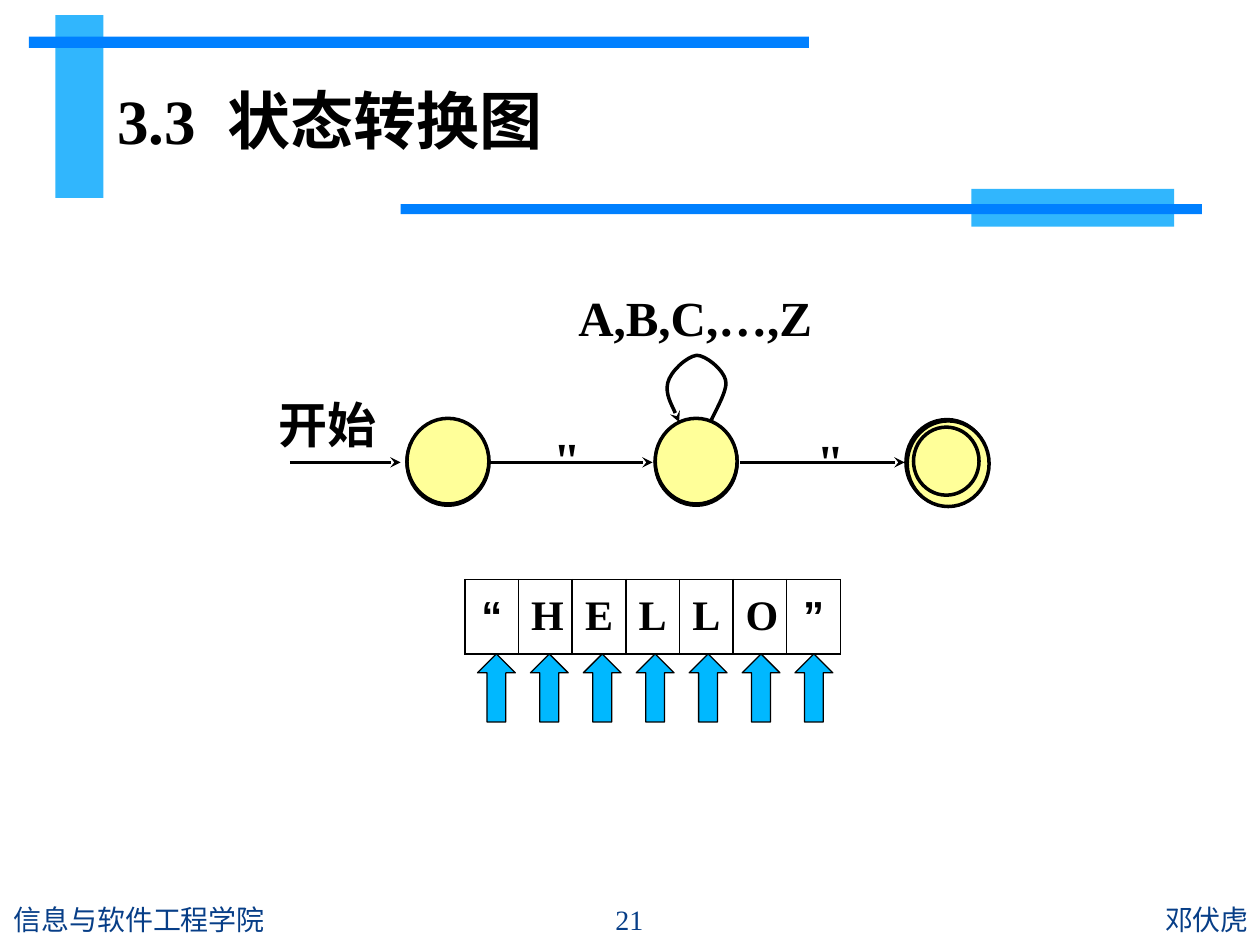
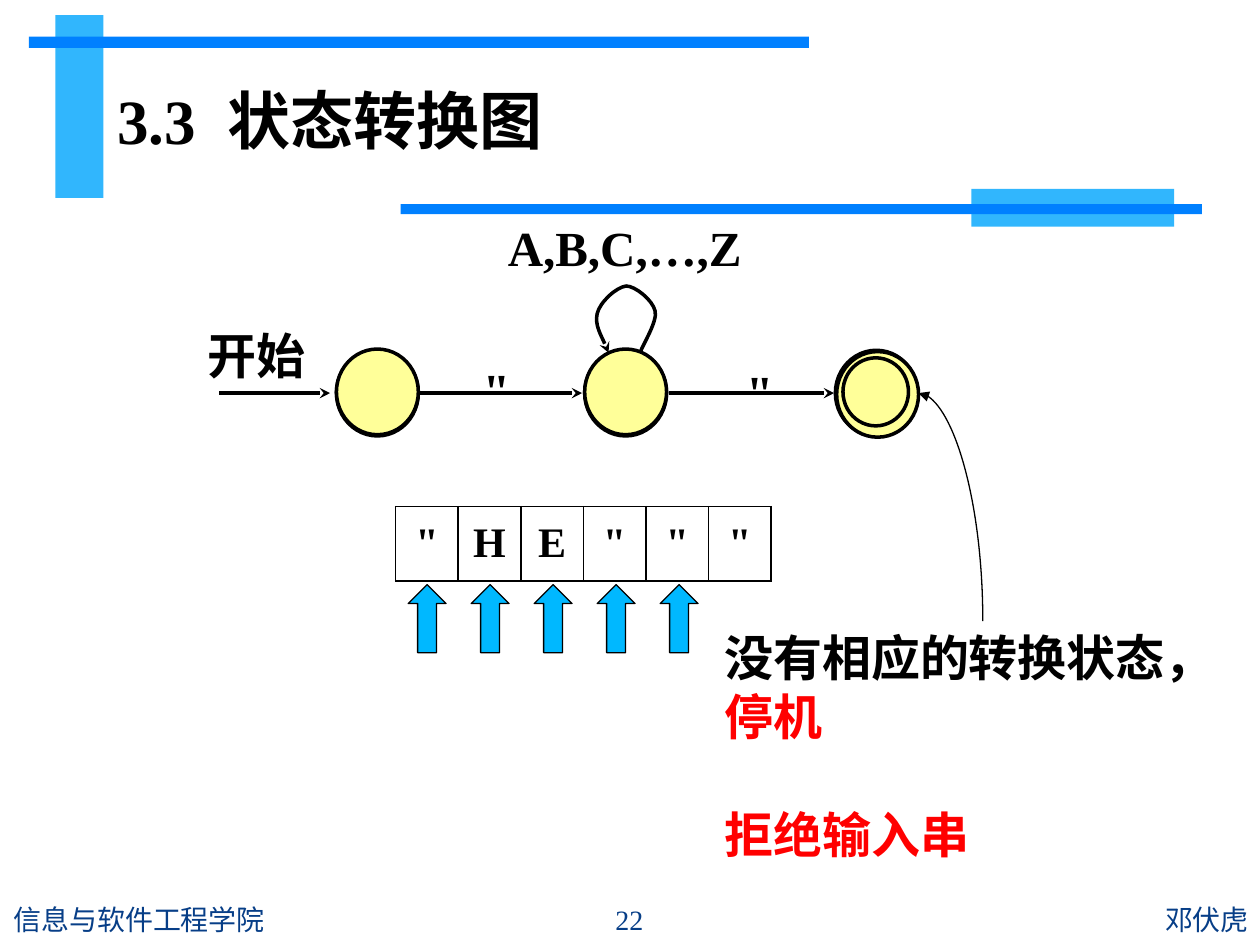
from lxml.etree import SubElement
from pptx import Presentation
from pptx.dml.color import RGBColor
from pptx.enum.shapes import MSO_CONNECTOR, MSO_SHAPE
from pptx.enum.text import MSO_ANCHOR, MSO_AUTO_SIZE, PP_ALIGN
from pptx.oxml.ns import qn
from pptx.util import Inches, Pt

COLORS = {
    "ink": "000000",
    "paper": "FFFFFF",
    "band": "31B6FD",
    "rule": "0080FF",
    "footer": "073E87",
    "state": "FFFF99",
    "pointer": "00B8FF",
    "alert": "FF0000",
}
SERIF, SANS, FOOTER_FONT = "Times New Roman", "Arial", "Calibri"
STATE_SIZE = (0.65, 0.68)
BANDS = [
    ("band", 0.44, 0.12, 0.38, 1.45),
    ("rule", 0.23, 0.29, 6.19, 0.09),
    ("band", 7.71, 1.5, 1.61, 0.3),
    ("rule", 3.18, 1.62, 6.36, 0.08),
]


def color(name):
    return RGBColor.from_string(COLORS[name])


def style_run(run, size, font=SERIF, bold=True, tint="ink"):
    run.font.size = Pt(size)
    run.font.name = font
    run.font.bold = bold
    run.font.color.rgb = color(tint)


def add_shape(page, kind, left, top, width, height, fill=None, line_width=None):
    shape = page.shapes.add_shape(
        kind, Inches(left), Inches(top), Inches(width), Inches(height))
    shape.shadow.inherit = False
    if fill:
        shape.fill.solid()
        shape.fill.fore_color.rgb = color(fill)
    else:
        shape.fill.background()
    if line_width:
        set_line(shape, line_width)
    else:
        shape.line.fill.background()
    return shape


def set_line(shape, width, arrowhead=None):
    shape.line.color.rgb = color("ink")
    shape.line.width = Pt(width)
    if arrowhead:
        SubElement(shape.line._get_or_add_ln(), qn("a:tailEnd"), type=arrowhead)


def add_connector(page, kind, start, end, width, arrowhead):
    connector = page.shapes.add_connector(
        kind, *(Inches(value) for value in (*start, *end)))
    set_line(connector, width, arrowhead)
    SubElement(connector._element.spPr, qn("a:effectLst"))
    return connector


def add_text(page, text, left, top, width, height, align=PP_ALIGN.LEFT,
             anchor=MSO_ANCHOR.TOP, **style):
    box = page.shapes.add_textbox(
        Inches(left), Inches(top), Inches(width), Inches(height))
    frame = box.text_frame
    frame.word_wrap = True
    frame.vertical_anchor = anchor
    frame.text = text
    paragraph = frame.paragraphs[0]
    paragraph.alignment = align
    style_run(paragraph.runs[0], **style)
    return box


def add_label(page, text, left, top, width, height, align):
    frame = add_text(page, text, left, top, width, height, align, size=28).text_frame
    frame.margin_left = frame.margin_right = Inches(0.06)
    frame.margin_top = frame.margin_bottom = Inches(0.03)


def add_title(page, topic_font):
    title = page.shapes.title
    title.left, title.top = Inches(0.83), Inches(0.44)
    title.width, title.height = Inches(7.72), Inches(1.02)
    frame = title.text_frame
    frame.auto_size = MSO_AUTO_SIZE.NONE
    frame.vertical_anchor = MSO_ANCHOR.MIDDLE
    paragraph = frame.paragraphs[0]
    paragraph.alignment = PP_ALIGN.LEFT
    for text, font in (("3.3", SERIF), (" ", SERIF), ("状态转换图", topic_font)):
        span = paragraph.add_run()
        span.text = text
        style_run(span, 36, font)
    paragraph.runs[1].font._element.set("spc", "900")


def add_frame(page, number, topic_font):
    for fill, *place in BANDS:
        add_shape(page, MSO_SHAPE.RECTANGLE, *place, fill=fill)
    add_title(page, topic_font)
    footers = [
        ("邓伏虎", 5.65, 4.36, PP_ALIGN.RIGHT, FOOTER_FONT),
        ("信息与软件工程学院", 0.01, 4.34, PP_ALIGN.LEFT, FOOTER_FONT),
        (str(number), 4.36, 1.27, PP_ALIGN.CENTER, SERIF),
    ]
    for text, left, width, align, font in footers:
        add_text(page, text, left, 7.1, width, 0.4, align, MSO_ANCHOR.MIDDLE,
                 size=16, font=font, bold=False, tint="footer")


def add_curve(page, points):
    start, *others = [(Inches(x), Inches(y)) for x, y in points]
    builder = page.shapes.build_freeform(*start)
    builder.add_line_segments(others, close=False)
    curve = builder.convert_to_shape()
    curve.shadow.inherit = False
    curve.fill.background()
    set_line(curve, 2, "stealth")
    path = next(curve._element.iter(qn("a:path")))
    segments = path.findall(qn("a:lnTo"))
    for first in range(0, len(segments), 3):
        bezier = SubElement(path, qn("a:cubicBezTo"))
        for segment in segments[first:first + 3]:
            bezier.append(segment[0])
            path.remove(segment)


def add_automaton(page, left, top):
    def place(x, y):
        return left + x, top + y

    for x in (0, 1.97, 3.96):
        add_shape(page, MSO_SHAPE.OVAL, *place(x, 0), *STATE_SIZE, line_width=2)
    for start, end in ((-0.93, -0.05), (0.65, 1.95), (2.64, 3.95)):
        add_connector(page, MSO_CONNECTOR.STRAIGHT,
                      place(start, 0.34), place(end, 0.34), 2, "stealth")
    loop = [
        (2.41, 0.02), (2.43, -0.04), (2.55, -0.23), (2.53, -0.31),
        (2.51, -0.4), (2.37, -0.51), (2.3, -0.51),
        (2.22, -0.5), (2.09, -0.38), (2.07, -0.29),
        (2.05, -0.2), (2.14, -0.04), (2.16, 0.02),
    ]
    add_curve(page, [place(x, y) for x, y in loop])
    labels = [
        ("开始", -1.08, -0.23, 1.05, 0.52, PP_ALIGN.JUSTIFY),
        ('"', 0.73, 0.04, 1.08, 0.49, PP_ALIGN.CENTER),
        ('"', 2.82, 0.06, 1.08, 0.58, PP_ALIGN.CENTER),
        ("A,B,C,…,Z", 1.3, -1.08, 2.65, 0.64, PP_ALIGN.JUSTIFY),
    ]
    for text, x, y, width, height, align in labels:
        add_label(page, text, *place(x, y), width, height, align)
    states = [(0, -0.01), (1.97, -0.01), (3.97, 0.01)]
    for x, y in states:
        add_shape(page, MSO_SHAPE.OVAL, *place(x, y), *STATE_SIZE, "state", 2)
    add_shape(page, MSO_SHAPE.OVAL, *place(4.02, 0.06), 0.52, 0.54, "state", 2)


def add_borders(cell):
    properties = cell._tc.get_or_add_tcPr()
    for index, side in enumerate(("lnL", "lnR", "lnT", "lnB")):
        line = properties.makeelement(qn(f"a:{side}"), {"w": str(Pt(1))})
        fill = SubElement(line, qn("a:solidFill"))
        SubElement(fill, qn("a:srgbClr"), val=COLORS["ink"])
        properties.insert(index, line)


def add_tape(page, symbols, left, top):
    width = 2.98
    table = page.shapes.add_table(
        1, len(symbols), Inches(left), Inches(top), Inches(width), Inches(0.59)).table
    table.first_row = table.horz_banding = False
    for column, cell, symbol in zip(table.columns, table.rows[0].cells, symbols):
        column.width = Inches(width / len(symbols))
        cell.fill.solid()
        cell.fill.fore_color.rgb = color("paper")
        cell.vertical_anchor = MSO_ANCHOR.MIDDLE
        cell.text = symbol
        paragraph = cell.text_frame.paragraphs[0]
        paragraph.alignment = PP_ALIGN.CENTER
        style_run(paragraph.runs[0], 24, SANS if symbol in "“”" else SERIF)
        add_borders(cell)


def add_pointers(page, count, left, top, pitch):
    for index in range(count):
        add_shape(page, MSO_SHAPE.UP_ARROW, left + index * pitch, top,
                  0.3, 0.54, "pointer", 0.75)


def add_rejection(page):
    box = add_text(page, "没有相应的转换状态，", 5.65, 4.93, 4.31, 1.98, size=28)
    halt = box.text_frame.paragraphs[0].add_run()
    halt.text = "停机"
    verdict = box.text_frame.add_paragraph()
    verdict.text = "拒绝输入串"
    verdict.space_before = Pt(34)
    for span in (halt, verdict.runs[0]):
        style_run(span, 28, tint="alert")
    connector = add_connector(page, MSO_CONNECTOR.CURVE,
                              (6.64, 4.28), (8.45, 3.77), 0.75, "triangle")
    properties = connector._element.spPr
    properties.find(qn("a:xfrm")).set("rot", str(270 * 60000))
    properties.find(qn("a:prstGeom")).set("prst", "curvedConnector2")


def main():
    deck = Presentation()
    deck.slide_width, deck.slide_height = Inches(10), Inches(7.5)
    title_only = deck.slide_layouts[5]

    accepted = deck.slides.add_slide(title_only)
    add_frame(accepted, 21, SANS)
    add_automaton(accepted, 3.23, 3.33)
    add_tape(accepted, "“HELLO”", 3.69, 4.6)
    add_pointers(accepted, 7, 3.79, 5.19, 0.42)

    rejected = deck.slides.add_slide(title_only)
    add_frame(rejected, 22, SERIF)
    add_automaton(rejected, 2.67, 2.78)
    add_tape(rejected, '"HE"""', 3.14, 4.02)
    add_pointers(rejected, 5, 3.24, 4.64, 0.5)
    add_rejection(rejected)

    deck.save("out.pptx")


if __name__ == "__main__":
    main()
